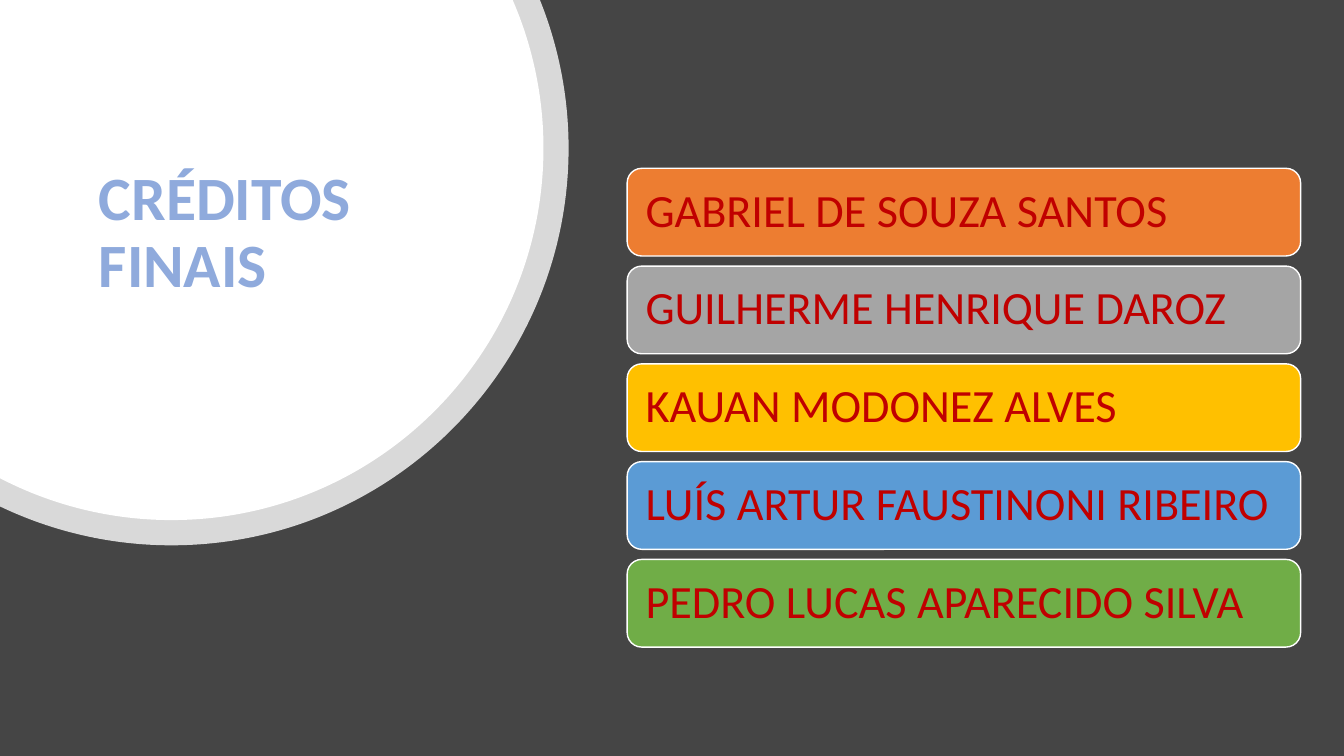
from dataclasses import dataclass
from itertools import pairwise
from math import acos, asin, cos, pi, sin, tan

from lxml.etree import SubElement
from pptx import Presentation
from pptx.dml.color import RGBColor
from pptx.enum.shapes import MSO_SHAPE
from pptx.enum.text import MSO_ANCHOR, MSO_AUTO_SIZE, PP_ALIGN
from pptx.oxml.ns import qn
from pptx.util import Inches, Pt


@dataclass(frozen=True)
class Theme:
    font: str = "Calibri"
    back: str = "454545"
    white: str = "FFFFFF"
    title: str = "8FAADC"
    name: str = "C00000"
    cards: tuple = ("ED7D31", "A5A5A5", "FFC000", "5B9BD5", "70AD47")
    title_size: int = 44
    name_size: int = 33


THEME = Theme()
NAMES = (
    "GABRIEL DE SOUZA SANTOS",
    "GUILHERME HENRIQUE DAROZ",
    "KAUAN MODONEZ ALVES",
    "LUÍS ARTUR FAUSTINONI RIBEIRO",
    "PEDRO LUCAS APARECIDO SILVA",
)


def paint(fill, color):
    fill.solid()
    fill.fore_color.rgb = RGBColor.from_string(color)


def write(shape, text, size, color, bold=False, inset=0.1):
    frame = shape.text_frame
    frame.word_wrap = True
    frame.auto_size = MSO_AUTO_SIZE.NONE
    frame.vertical_anchor = MSO_ANCHOR.MIDDLE
    frame.margin_left = frame.margin_right = Inches(inset)
    frame.text = text
    para = frame.paragraphs[0]
    para.alignment = PP_ALIGN.LEFT
    para.line_spacing = 0.9
    font = para.runs[0].font
    font.name, font.size, font.bold = THEME.font, Pt(size), bold
    font.color.rgb = RGBColor.from_string(color)


def bend(line, x, y, radius, start, end):
    """Turn a straight path segment into the circular arc between two angles."""
    pull = 4 / 3 * tan((end - start) / 4)
    line.tag = qn("a:cubicBezTo")
    for angle, shift in ((start, pull), (end, -pull)):
        across = x + radius * (cos(angle) - shift * sin(angle))
        down = y + radius * (sin(angle) + shift * cos(angle))
        spot = SubElement(line, qn("a:pt"),
                          x=str(Inches(across)), y=str(Inches(down)))
        line.insert(len(line) - 2, spot)


def add_disc(slide, x, y, radius, alpha=100):
    """Draw the part of a white disc that lies inside the slide's top left corner."""
    turns = (-asin(y / radius), 0, pi / 2, acos(-x / radius))
    ends = [(Inches(x + radius * cos(t)), Inches(y + radius * sin(t)))
            for t in turns]
    pen = slide.shapes.build_freeform(0, 0)
    pen.add_line_segments(ends, close=True)
    disc = pen.convert_to_shape()
    lines = list(disc._element.iter(qn("a:lnTo")))
    for line, (start, end) in zip(lines[1:], pairwise(turns)):
        bend(line, x, y, radius, start, end)
    disc.shadow.inherit = False
    disc.line.fill.background()
    paint(disc.fill, THEME.white)
    if alpha < 100:
        tint = disc.fill._xPr.find(qn("a:solidFill"))[0]
        SubElement(tint, qn("a:alpha"), val=str(alpha * 1000))


def add_title(slide, left, top, width, height):
    title = slide.shapes.title
    title.left, title.top = Inches(left), Inches(top)
    title.width, title.height = Inches(width), Inches(height)
    write(title, "CRÉDITOS FINAIS", THEME.title_size, THEME.title, bold=True)
    slide.shapes._spTree.append(title._element)


def add_cards(slide, left, top, width, height, gap=0.1):
    """Stack one card per name, evenly filling the box."""
    tall = (height - gap * (len(NAMES) - 1)) / len(NAMES)
    for i, (name, color) in enumerate(zip(NAMES, THEME.cards)):
        card = slide.shapes.add_shape(
            MSO_SHAPE.ROUNDED_RECTANGLE, Inches(left),
            Inches(top + i * (tall + gap)), Inches(width), Inches(tall))
        card.shadow.inherit = False
        paint(card.fill, color)
        paint(card.line.fill, THEME.white)
        card.line.width = Pt(1)
        write(card, name, THEME.name_size, THEME.name, inset=0.14)


def main():
    deck = Presentation()
    deck.slide_width, deck.slide_height = Inches(13.33), Inches(7.5)
    slide = deck.slides.add_slide(deck.slide_layouts[5])
    paint(slide.background.fill, THEME.back)
    add_disc(slide, 1.7, 1.47, 3.94, alpha=80)
    add_disc(slide, 1.7, 1.47, 3.69)
    add_title(slide, 0.88, 0.66, 3.52, 3.32)
    add_cards(slide, 6.22, 1.67, 6.68, 4.75)
    deck.save("out.pptx")


if __name__ == "__main__":
    main()
